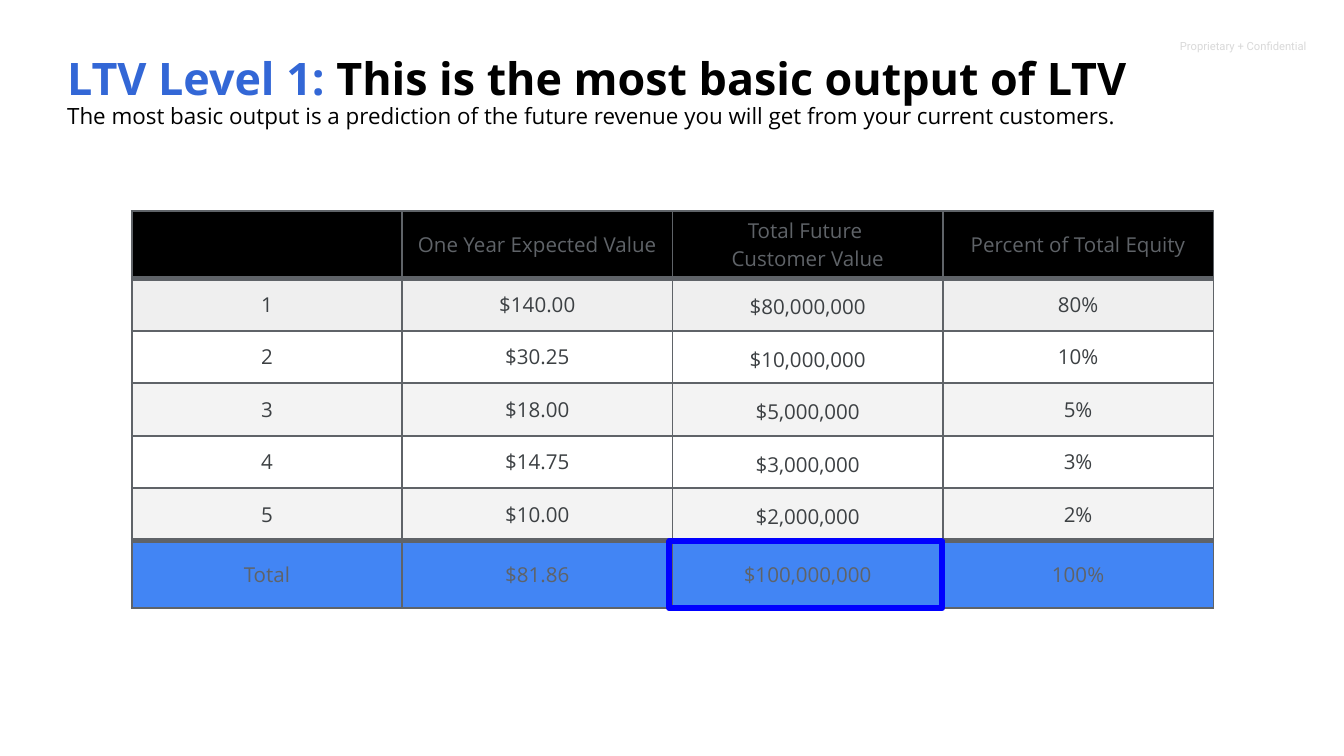
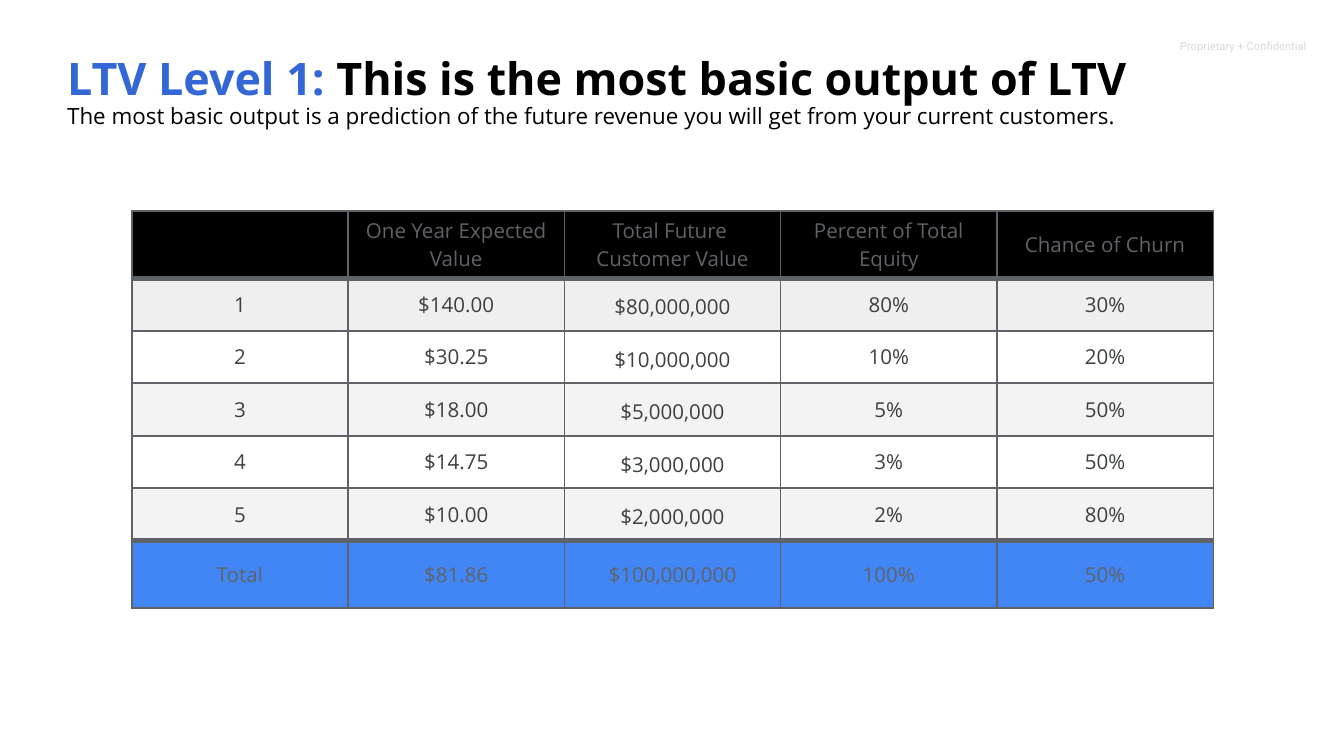
from collections import namedtuple

from lxml import etree
from pptx import Presentation
from pptx import util as u
from pptx.dml.color import RGBColor
from pptx.enum import shapes, text
from pptx.oxml import ns

Box = namedtuple("Box", "left top width height")

FONT = "Open Sans"
GREY, INK, BLACK, WHITE = "5F6368", "3C4043", "000000", "FFFFFF"
TITLE_BLUE, TOTAL_BLUE, HIGHLIGHT_BLUE = "3367D6", "4285F4", "0000FF"
LIGHT, PALE, FOOTER_GREY = "EFEFEF", "F3F3F3", "D9D9D9"
ROW_FILLS = [BLACK, LIGHT, WHITE, PALE, WHITE, PALE, TOTAL_BLUE]

HEADER_BOX = Box(22.05, 0.61, 3.35, 0.84)
TITLE_BOX = Box(1.17, 1.02, 23.09, 1.14)
TABLE_BOX = Box(2.49, 3.99, 20.44, 7.5)
END_ROW_HEIGHT = 1.27
VALUE_COLUMN = 2

TITLE = ("LTV Level 1:", " This is the most basic output of LTV")
SUBTITLE = ("The most basic output is a prediction of the future revenue "
            "you will get from your current customers.")
COLUMNS = [
    ["", "1", "2", "3", "4", "5", "Total"],
    ["One Year Expected Value", "$140.00", "$30.25", "$18.00", "$14.75", "$10.00", "$81.86"],
    ["Total Future \nCustomer Value", "$80,000,000", "$10,000,000", "$5,000,000",
     "$3,000,000", "$2,000,000", "$100,000,000"],
    ["Percent of Total Equity", "80%", "10%", "5%", "3%", "2%", "100%"],
]
CHURN = ["Chance of Churn", "30%", "20%", "50%", "50%", "80%", "50%"]


def color(value):
    return RGBColor.from_string(value)


def lengths(box):
    return [u.Cm(value) for value in box]


def style_run(run, size, value, font=FONT, bold=False):
    run.font.name = font
    run.font.size = u.Pt(size)
    run.font.bold = bold
    run.font.color.rgb = color(value)


def set_margins(target, horizontal, vertical):
    target.margin_left = target.margin_right = u.Cm(horizontal)
    target.margin_top = target.margin_bottom = u.Cm(vertical)


def add_text_frame(slide, box, horizontal, vertical):
    frame = slide.shapes.add_textbox(*lengths(box)).text_frame
    frame.word_wrap = True
    set_margins(frame, horizontal, vertical)
    return frame


def add_header(slide, box):
    frame = add_text_frame(slide, box, 0.25, 0.25)
    frame.text = "Proprietary + Confidential"
    style_run(frame.paragraphs[0].runs[0], 6, FOOTER_GREY, "Roboto")


def add_title(slide, box):
    frame = add_text_frame(slide, box, 0.1, 0.05)
    title = frame.paragraphs[0]
    for words, value in zip(TITLE, (TITLE_BLUE, BLACK)):
        run = title.add_run()
        run.text = words
        style_run(run, 24, value, bold=True)
    subtitle = frame.add_paragraph()
    subtitle.text = SUBTITLE
    style_run(subtitle.runs[0], 12, BLACK)
    for paragraph in frame.paragraphs:
        paragraph.line_spacing = 0.9


def add_borders(cell, top, bottom):
    properties = cell._tc.get_or_add_tcPr()
    for side, points in (("L", 1), ("R", 1), ("T", top), ("B", bottom)):
        line = etree.SubElement(properties, ns.qn(f"a:ln{side}"), w=str(u.Pt(points)))
        fill = etree.SubElement(line, ns.qn("a:solidFill"))
        etree.SubElement(fill, ns.qn("a:srgbClr"), val=GREY)


def fill_cell(cell, words, row, column):
    is_body = 0 < row < len(ROW_FILLS) - 1
    is_value = is_body and column == VALUE_COLUMN
    edges = [3 if edge in (1, len(ROW_FILLS) - 1) else 1 for edge in (row, row + 1)]
    add_borders(cell, *edges)
    cell.fill.solid()
    cell.fill.fore_color.rgb = color(ROW_FILLS[row])
    cell.vertical_anchor = text.MSO_ANCHOR.MIDDLE
    margin = 0.03 if is_value else 0.05
    set_margins(cell, margin, margin)
    cell.text_frame.text = words
    for paragraph in cell.text_frame.paragraphs:
        paragraph.alignment = text.PP_ALIGN.CENTER
        if is_value:
            paragraph.line_spacing = 1.15
        for run in paragraph.runs:
            style_run(run, 11, INK if is_body else GREY)


def add_value_table(slide, box, columns):
    row_count = len(ROW_FILLS)
    table = slide.shapes.add_table(row_count, len(columns), *lengths(box)).table
    table.first_row = table.horz_banding = False
    body_height = (box.height - 2 * END_ROW_HEIGHT) / (row_count - 2)
    for index, row in enumerate(table.rows):
        is_end = index in (0, row_count - 1)
        row.height = u.Cm(END_ROW_HEIGHT if is_end else body_height)
    for column, entries in enumerate(columns):
        table.columns[column].width = u.Cm(box.width / len(columns))
        for row, words in enumerate(entries):
            fill_cell(table.cell(row, column), words, row, column)


def add_total_highlight(slide, box, column_count):
    width = box.width / column_count
    frame = Box(box.left + VALUE_COLUMN * width - 0.06,
                box.top + box.height - END_ROW_HEIGHT + 0.01,
                width + 0.05, END_ROW_HEIGHT)
    shape = slide.shapes.add_shape(shapes.MSO_SHAPE.RECTANGLE, *lengths(frame))
    shape.shadow.inherit = False
    shape.fill.background()
    shape.line.color.rgb = color(HIGHLIGHT_BLUE)
    shape.line.width = u.Pt(3)
    outline = shape._element.spPr.find(ns.qn("a:ln"))
    etree.SubElement(outline, ns.qn("a:round"))


def add_level_slide(presentation, columns, highlight=False):
    slide = presentation.slides.add_slide(presentation.slide_layouts[6])
    add_header(slide, HEADER_BOX)
    add_value_table(slide, TABLE_BOX, columns)
    add_title(slide, TITLE_BOX)
    if highlight:
        add_total_highlight(slide, TABLE_BOX, len(columns))


def main():
    presentation = Presentation()
    presentation.slide_width = u.Cm(25.4)
    presentation.slide_height = u.Cm(14.29)
    add_level_slide(presentation, COLUMNS, highlight=True)
    add_level_slide(presentation, COLUMNS + [CHURN])
    presentation.save("out.pptx")


if __name__ == "__main__":
    main()
